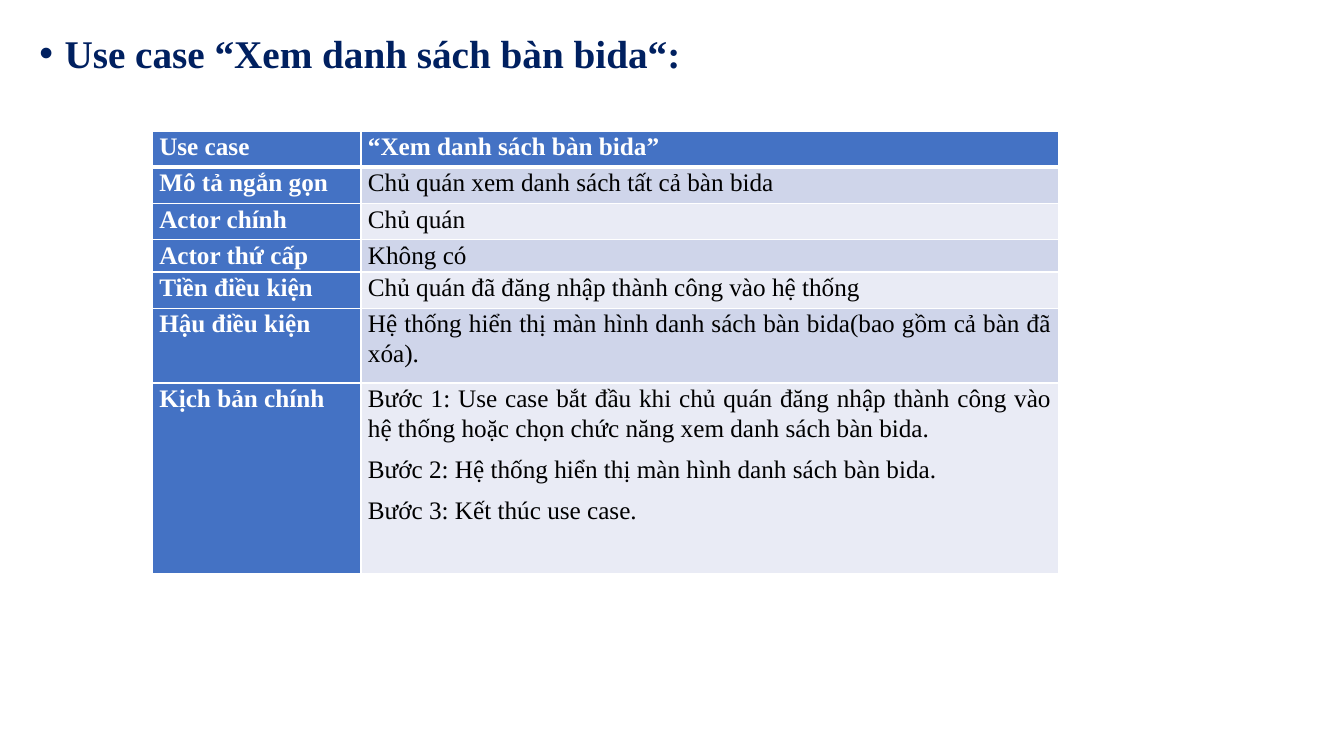
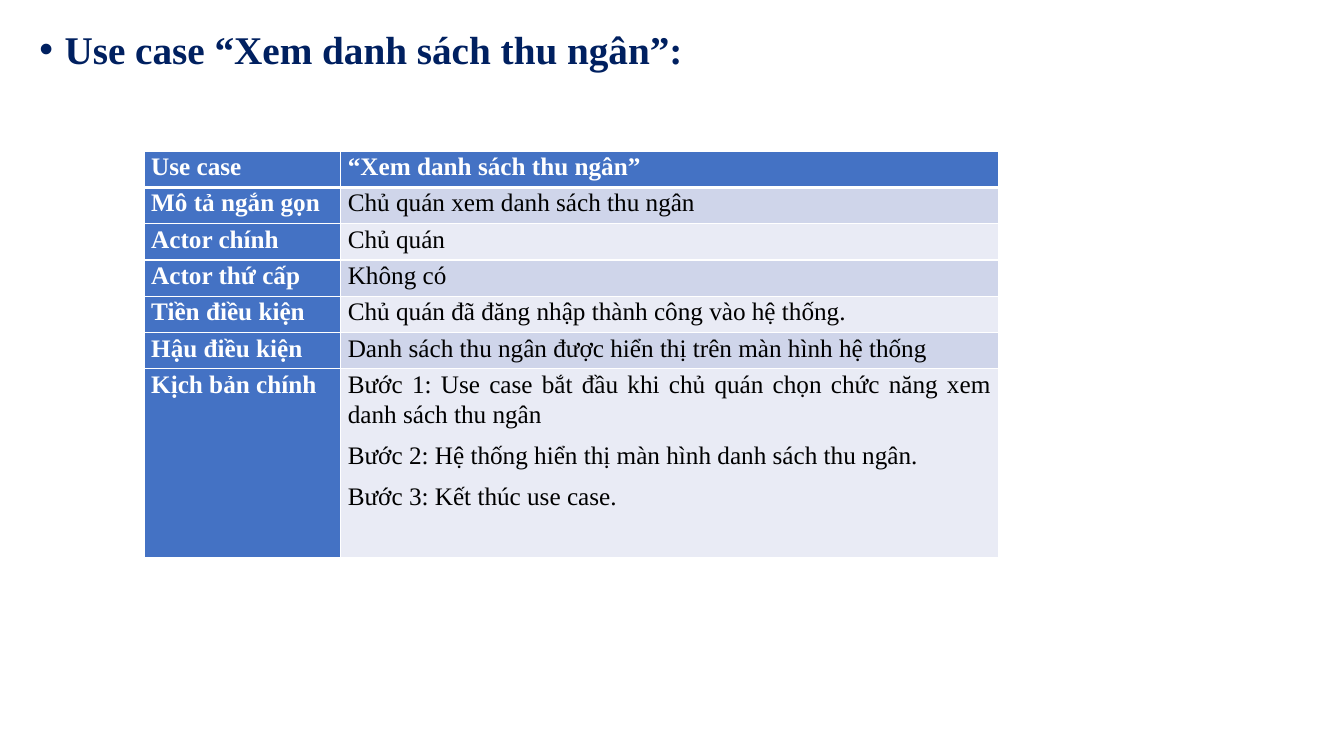
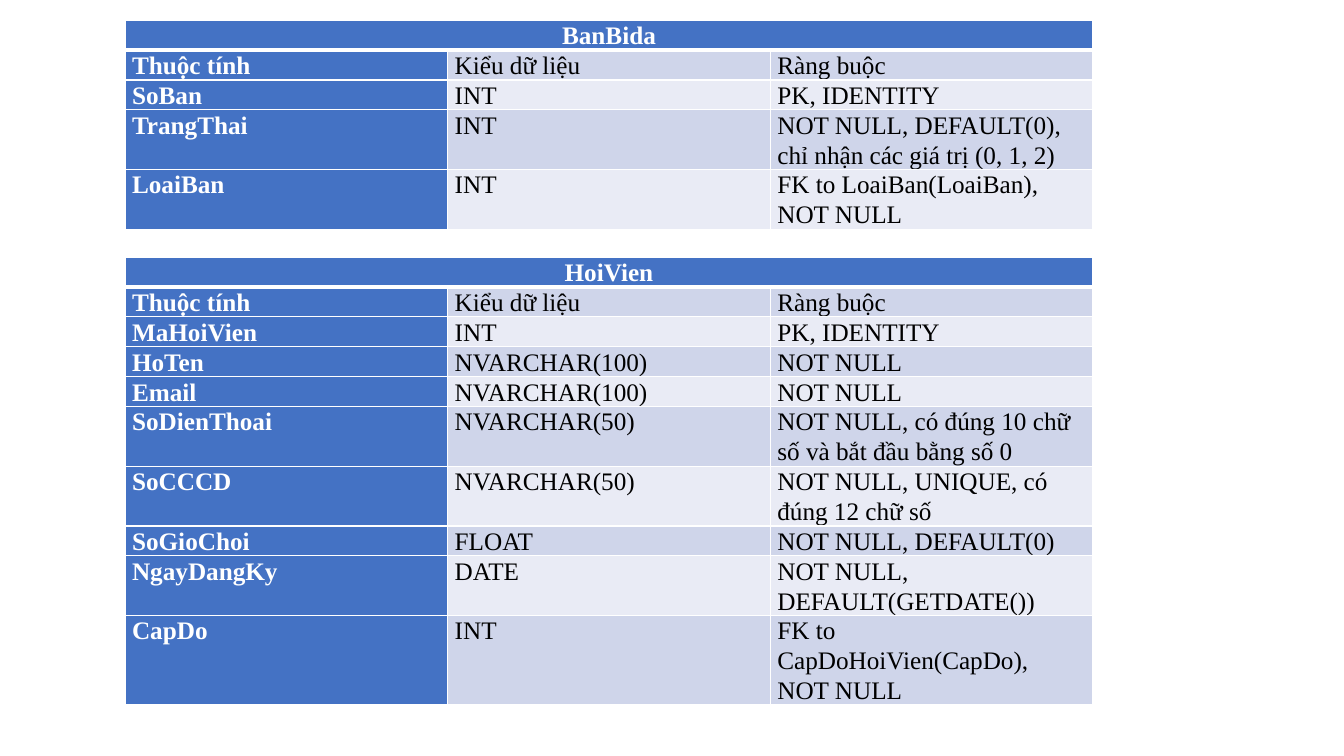
from lxml import etree
from pptx import Presentation
from pptx.dml.color import RGBColor
from pptx.enum import text
from pptx.oxml.ns import qn
from pptx.util import Inches, Pt

# Shared style
NAVY = RGBColor(0x00, 0x20, 0x60)
BLUE = RGBColor(0x44, 0x72, 0xC4)
BANDS = RGBColor(0xCF, 0xD5, 0xEA), RGBColor(0xE9, 0xEB, 0xF5)
WHITE = RGBColor(0xFF, 0xFF, 0xFF)
BLACK = RGBColor(0x00, 0x00, 0x00)
FONT = "Times New Roman"
LEFT, CENTER, JUSTIFY = (text.PP_ALIGN.LEFT, text.PP_ALIGN.CENTER,
                         text.PP_ALIGN.JUSTIFY)
LINE = 0.29  # height of one table line, inches

# Use cases: a cell with several steps is a list
USE_CASE_LABELS = ["Use case", "Mô tả ngắn gọn", "Actor chính", "Actor thứ cấp",
                   "Tiền điều kiện", "Hậu điều kiện", "Kịch bản chính"]
USE_CASES = [
    dict(
        heading="Use case “Xem danh sách bàn bida“:", heading_top=0.29,
        corner=(1.51, 1.3), columns=[2.07, 6.92],
        heights=[0.36, 0.36, 0.36, 0.32, 0.36, 0.74, 1.89],
        details=[
            "“Xem danh sách bàn bida”",
            "Chủ quán xem danh sách tất cả bàn bida",
            "Chủ quán",
            "Không có",
            "Chủ quán đã đăng nhập thành công vào hệ thống",
            "Hệ thống hiển thị màn hình danh sách bàn bida(bao gồm cả bàn đã xóa).",
            ["Bước 1: Use case bắt đầu khi chủ quán đăng nhập thành công vào "
             "hệ thống hoặc chọn chức năng xem danh sách bàn bida.",
             "Bước 2: Hệ thống hiển thị màn hình danh sách bàn bida.",
             "Bước 3: Kết thúc use case."],
        ]),
    dict(
        heading="Use case “Xem danh sách thu ngân”:", heading_top=0.25,
        corner=(1.43, 1.5), columns=[1.95, 6.52],
        heights=[0.36] * 6 + [1.87],
        details=[
            "“Xem danh sách thu ngân”",
            "Chủ quán xem danh sách thu ngân",
            "Chủ quán",
            "Không có",
            "Chủ quán đã đăng nhập thành công vào hệ thống.",
            "Danh sách thu ngân được hiển thị trên màn hình hệ thống",
            ["Bước 1: Use case bắt đầu khi chủ quán chọn chức năng xem "
             "danh sách thu ngân",
             "Bước 2: Hệ thống hiển thị màn hình danh sách thu ngân.",
             "Bước 3: Kết thúc use case."],
        ]),
]

# Database tables: name, top, lines per row, fields
FIELD_HEADS = ("Thuộc tính", "Kiểu dữ liệu", "Ràng buộc")
ENTITIES = [
    ("BanBida", 0.2, [1, 1, 1, 2, 2], [
        ("SoBan", "INT", "PK, IDENTITY"),
        ("TrangThai", "INT", "NOT NULL, DEFAULT(0), chỉ nhận các giá trị (0, 1, 2)"),
        ("LoaiBan", "INT", "FK to LoaiBan(LoaiBan), NOT NULL"),
    ]),
    ("HoiVien", 2.55, [1, 1, 1, 1, 1, 2, 2, 1, 2, 3], [
        ("MaHoiVien", "INT", "PK, IDENTITY"),
        ("HoTen", "NVARCHAR(100)", "NOT NULL"),
        ("Email", "NVARCHAR(100)", "NOT NULL"),
        ("SoDienThoai", "NVARCHAR(50)", "NOT NULL, có đúng 10 chữ số và bắt đầu bằng số 0"),
        ("SoCCCD", "NVARCHAR(50)", "NOT NULL, UNIQUE, có đúng 12 chữ số"),
        ("SoGioChoi", "FLOAT", "NOT NULL, DEFAULT(0)"),
        ("NgayDangKy", "DATE", "NOT NULL, DEFAULT(GETDATE())"),
        ("CapDo", "INT", "FK to CapDoHoiVien(CapDo), NOT NULL"),
    ]),
]


def style_font(font, size, color, bold):
    font.name, font.size, font.bold = FONT, Pt(size), bold
    font.color.rgb = color


def add_borders(cell, row):
    """White cell borders, with a thick line under the header row."""
    widths = dict(L=1, R=1, T=3 if row == 1 else 1, B=3 if row == 0 else 1)
    properties = cell._tc.get_or_add_tcPr()
    for side, width in widths.items():
        line = etree.SubElement(properties, qn(f"a:ln{side}"), w=str(Pt(width)))
        fill = etree.SubElement(line, qn("a:solidFill"))
        etree.SubElement(fill, qn("a:srgbClr"), val=str(WHITE))


def fill_cell(cell, content, row, column, align):
    is_label = row == 0 or column == 0
    add_borders(cell, row)
    cell.fill.solid()
    cell.fill.fore_color.rgb = BLUE if is_label else BANDS[(row - 1) % 2]
    cell.margin_left = cell.margin_right = Inches(0.07)
    cell.margin_top = cell.margin_bottom = 0
    steps = content if isinstance(content, list) else [content]
    cell.text_frame.text = "\n".join(steps)
    for paragraph in cell.text_frame.paragraphs:
        paragraph.alignment = align
        paragraph.line_spacing, paragraph.space_after = 1.07, Pt(8)
        style_font(paragraph.font, 18, WHITE if is_label else BLACK, is_label)
        for run in paragraph.runs:
            style_font(run.font, 18, WHITE if is_label else BLACK, is_label)


def add_grid(slide, corner, columns, heights, rows, align):
    """Draw a banded table; a row with a single entry spans all columns."""
    left, top = corner
    grid = slide.shapes.add_table(
        len(rows), len(columns), Inches(left), Inches(top),
        Inches(sum(columns)), Inches(sum(heights))).table
    grid.horz_banding = False
    for column, width in zip(grid.columns, columns):
        column.width = Inches(width)
    for r, (entries, height) in enumerate(zip(rows, heights)):
        grid.rows[r].height = Inches(height)
        spans = len(entries) == 1
        for c in range(len(columns)):
            content = entries[c] if c < len(entries) else ""
            fill_cell(grid.cell(r, c), content, r, c, CENTER if spans else align)
        if spans:
            grid.cell(r, 0).merge(grid.cell(r, len(columns) - 1))


def add_heading(slide, heading, top):
    """Put the bulleted heading in the body placeholder."""
    title, body = slide.placeholders
    title.element.getparent().remove(title.element)
    body.left, body.top = Inches(0.29), Inches(top)
    body.width, body.height = Inches(12.13), Inches(6.76 - top)
    body.text_frame.text = heading
    paragraph = body.text_frame.paragraphs[0]
    properties = paragraph._p.get_or_add_pPr()
    properties.set("marL", str(Inches(0.25)))
    properties.set("indent", str(-Inches(0.25)))
    etree.SubElement(properties, qn("a:buFont"), typeface="Arial")
    etree.SubElement(properties, qn("a:buChar"), char="•")
    paragraph.line_spacing, paragraph.space_before = 0.9, 0
    style_font(paragraph.runs[0].font, 28, NAVY, True)


def main():
    deck = Presentation()
    deck.slide_width, deck.slide_height = Inches(13.33), Inches(7.5)
    content_layout, blank_layout = deck.slide_layouts[1], deck.slide_layouts[6]

    # Use case slides
    for case in USE_CASES:
        slide = deck.slides.add_slide(content_layout)
        add_heading(slide, case["heading"], case["heading_top"])
        add_grid(slide, case["corner"], case["columns"], case["heights"],
                 list(zip(USE_CASE_LABELS, case["details"])), JUSTIFY)

    # Database slide
    slide = deck.slides.add_slide(blank_layout)
    for name, top, lines, fields in ENTITIES:
        add_grid(slide, (1.24, top), [3.2] * 3, [LINE * n for n in lines],
                 [(name,), FIELD_HEADS, *fields], LEFT)

    deck.save("out.pptx")


if __name__ == "__main__":
    main()
